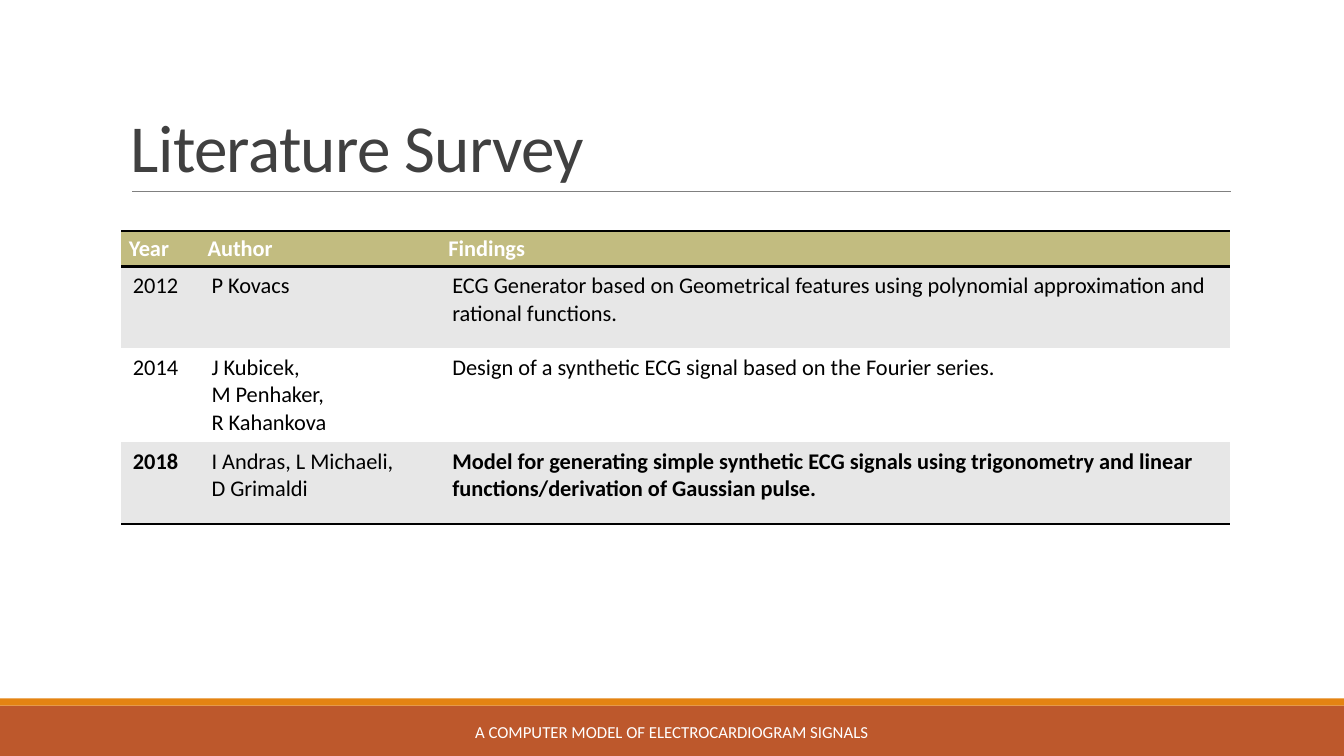
from dataclasses import dataclass

from lxml import etree
from pptx import Presentation
from pptx import util as u
from pptx.dml.color import RGBColor
from pptx.enum import shapes, text
from pptx.oxml import ns

HUES = {
    "rust": "BD582C", "orange": "E48312", "rule": "808080", "title": "404040",
    "olive": "C2BC80", "band": "E7E7E7", "white": "FFFFFF", "black": "000000",
}
WIDE, HIGH = u.Cm(33.87), u.Cm(19.05)
NO_GRID = "{2D5ABB26-0587-4C30-8999-92F81FD0307C}"


@dataclass
class Bar:
    top: float
    height: float
    hue: str


@dataclass
class Label:
    words: str
    box: tuple[float, float, float, float]
    size: int
    hue: str
    frame: dict
    para: dict
    track: int = 0


@dataclass
class Row:
    cells: tuple[str, str, str]
    height: float
    fill: str
    hue: str = "black"
    bold: tuple[bool, bool, bool] = (False, False, False)
    pad: tuple[float, float] = (0.3, 0.15)
    edges: tuple[str, ...] = ()


BARS = [Bar(17.78, 1.27, "rust"), Bar(17.6, 0.18, "orange")]
LABELS = [
    Label("Literature Survey", (3.05, 0.79, 27.94, 4.04), 48, "title",
          {"vertical_anchor": text.MSO_ANCHOR.BOTTOM}, {"line_spacing": 0.85}, -50),
    Label("A COMPUTER MODEL OF ELECTROCARDIOGRAM SIGNALS", (10.24, 17.93, 13.39, 1.02),
          12, "white", {"vertical_anchor": text.MSO_ANCHOR.MIDDLE},
          {"alignment": text.PP_ALIGN.CENTER, "space_after": u.Pt(6)}),
]
COLS = [1.98, 6.07, 19.89]
ROWS = [
    Row(("Year", "Author", "Findings"), 0.86, "olive", "white",
        (True, True, True), (0.2, 0.1), ("lnT", "lnB")),
    Row(("2012", "P Kovacs",
         "ECG Generator based on Geometrical features using polynomial "
         "approximation and rational functions."), 2.06, "band"),
    Row(("2014", "J Kubicek,\vM Penhaker,\vR Kahankova",
         "Design of a synthetic ECG signal based on the Fourier series."), 2.06, "white"),
    Row(("2018", "I Andras, L Michaeli,\vD Grimaldi",
         "Model for generating simple synthetic ECG signals using trigonometry "
         "and linear functions/derivation of Gaussian pulse."), 2.06, "band",
        bold=(True, False, True), edges=("lnB",)),
]


def tint(name: str) -> RGBColor:
    return RGBColor.from_string(HUES[name])


def apply(item, values: dict) -> None:
    for key, value in values.items():
        setattr(item, key, value)


def style(para, size: int, hue: str, bold: bool = False) -> None:
    for run in para.runs:
        apply(run.font, {"name": "Calibri", "size": u.Pt(size), "bold": bold})
        run.font.color.rgb = tint(hue)


def draw_bar(slide, bar: Bar) -> None:
    shape = slide.shapes.add_shape(
        shapes.MSO_SHAPE.RECTANGLE, 0, u.Cm(bar.top), WIDE, u.Cm(bar.height))
    shape.shadow.inherit = False
    shape.fill.solid()
    shape.fill.fore_color.rgb = tint(bar.hue)
    shape.line.fill.background()


def draw_rule(slide) -> None:
    line = slide.shapes.add_connector(
        shapes.MSO_CONNECTOR.STRAIGHT, u.Cm(3.33), u.Cm(4.83), u.Cm(31.01), u.Cm(4.83))
    line.line.color.rgb = tint("rule")
    line.line.width = u.Pt(0.5)
    etree.SubElement(line._element.spPr, ns.qn("a:effectLst"))


def draw_label(slide, label: Label) -> None:
    frame = slide.shapes.add_textbox(*map(u.Cm, label.box)).text_frame
    apply(frame, {"word_wrap": True, **label.frame})
    para = frame.paragraphs[0]
    para.text = label.words
    apply(para, label.para)
    style(para, label.size, label.hue)
    if label.track:
        para.runs[0]._r.get_or_add_rPr().set("spc", str(label.track))


def add_edge(cell, side: str) -> None:
    """Draw a black border on one side of a cell; call before the fill is set."""
    line = etree.SubElement(cell._tc.get_or_add_tcPr(), ns.qn(f"a:{side}"), w=str(u.Pt(2)))
    fill = etree.SubElement(line, ns.qn("a:solidFill"))
    etree.SubElement(fill, ns.qn("a:srgbClr"), val=HUES["black"])


def draw_cell(cell, words: str, bold: bool, row: Row) -> None:
    side, end = map(u.Cm, row.pad)
    apply(cell, {"margin_left": side, "margin_right": side,
                 "margin_top": end, "margin_bottom": end})
    for edge in row.edges:
        add_edge(cell, edge)
    cell.fill.solid()
    cell.fill.fore_color.rgb = tint(row.fill)
    para = cell.text_frame.paragraphs[0]
    para.text = words
    style(para, 16, row.hue, bold)


def draw_table(slide) -> None:
    high = sum(row.height for row in ROWS)
    table = slide.shapes.add_table(
        len(ROWS), len(COLS), u.Cm(3.05), u.Cm(5.82), u.Cm(sum(COLS)), u.Cm(high)).table
    apply(table, {"first_row": False, "horz_banding": False})
    table._tbl.tblPr.find(ns.qn("a:tableStyleId")).text = NO_GRID
    for col, width in zip(table.columns, COLS):
        col.width = u.Cm(width)
    for line, row in zip(table.rows, ROWS):
        line.height = u.Cm(row.height)
        for cell, words, bold in zip(line.cells, row.cells, row.bold):
            draw_cell(cell, words, bold, row)


def main() -> None:
    deck = Presentation()
    apply(deck, {"slide_width": WIDE, "slide_height": HIGH})
    slide = deck.slides.add_slide(deck.slide_layouts[6])
    for bar in BARS:
        draw_bar(slide, bar)
    draw_rule(slide)
    draw_table(slide)
    for label in LABELS:
        draw_label(slide, label)
    deck.save("out.pptx")


if __name__ == "__main__":
    main()
